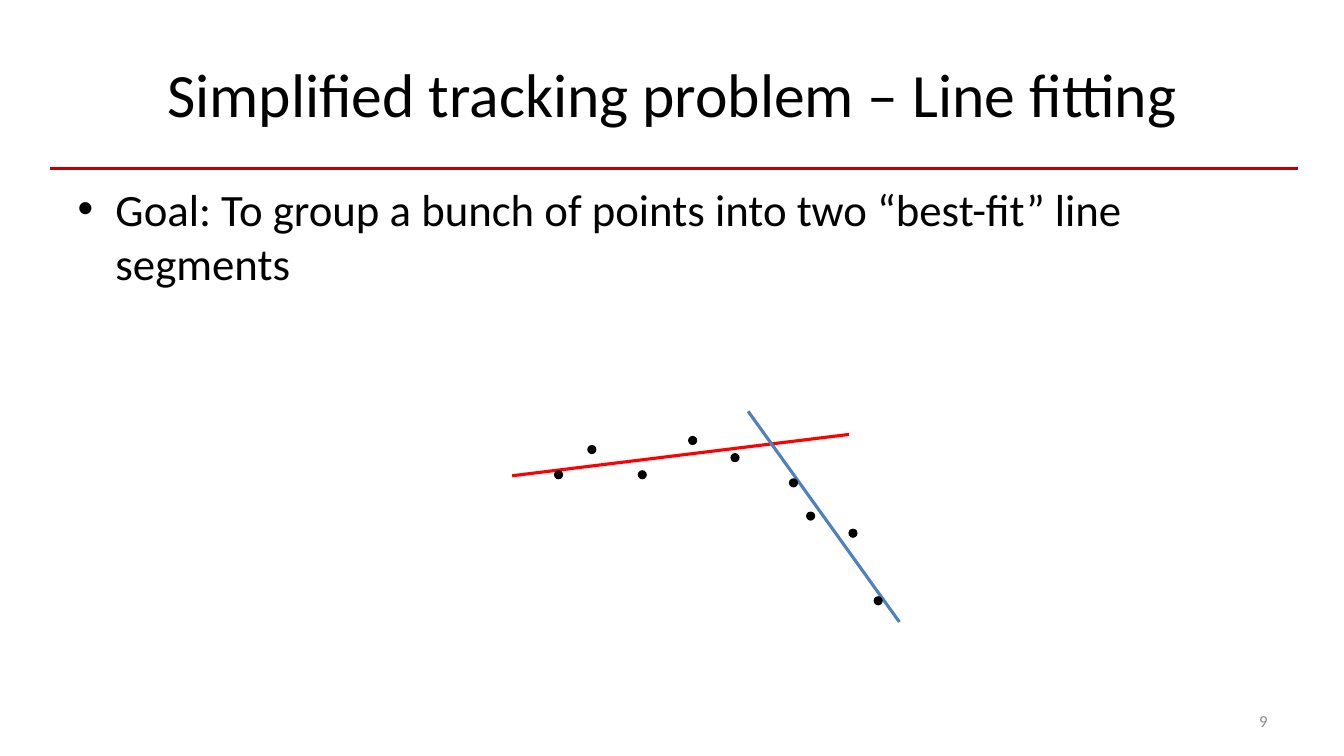
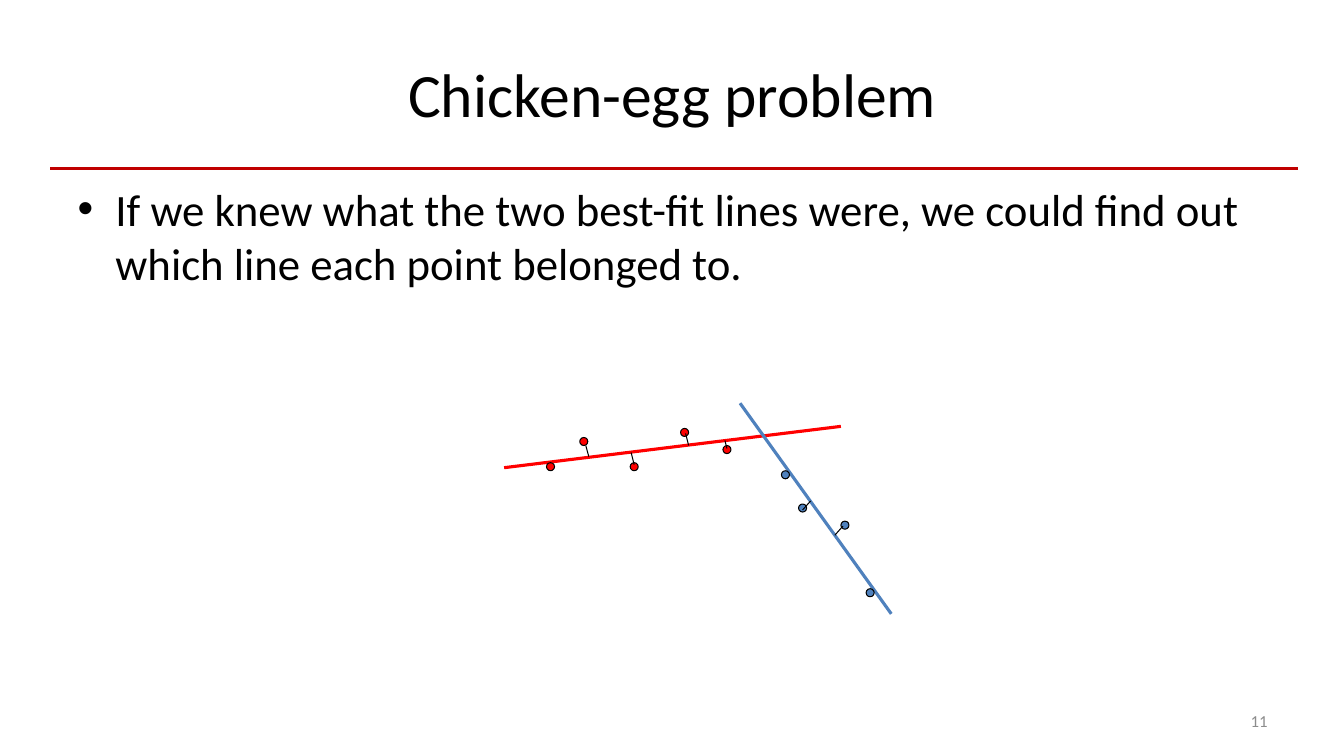
from lxml import etree
from pptx import Presentation
from pptx import util as u
from pptx.dml.color import RGBColor
from pptx.enum import shapes, text
from pptx.oxml import ns

BLACK, RED, BLUE = "000000", "FF0000", "4F81BD"
RULE_RED, NUMBER_GRAY = "C00000", "8C8C8C"
FONT = "Calibri"
DOT_SIZE = 0.08


def write_text(frame, content, size, color=BLACK, align=None, anchor=None):
    frame.word_wrap = True
    frame.vertical_anchor = anchor
    paragraph = frame.paragraphs[0]
    paragraph.alignment = align
    run = paragraph.add_run()
    run.text = content
    run.font.name = FONT
    run.font.size = u.Pt(size)
    run.font.color.rgb = RGBColor.from_string(color)


def add_line(parent, start, end, color, width):
    line = parent.add_connector(
        shapes.MSO_CONNECTOR.STRAIGHT, *(u.Inches(v) for v in (*start, *end)))
    line.line.color.rgb = RGBColor.from_string(color)
    line.line.width = u.Pt(width)
    etree.SubElement(line._element.spPr, ns.qn("a:effectLst"))
    return line


presentation = Presentation()
presentation.slide_width = u.Inches(13.33)
presentation.slide_height = u.Inches(7.5)

# Shared placeholder positions, inherited by both slides
layout = presentation.slide_layouts[1]
for placeholder, top, height in zip(layout.placeholders, (0.3, 1.75), (1.25, 4.95)):
    placeholder.left, placeholder.top = u.Inches(0.67), u.Inches(top)
    placeholder.width, placeholder.height = u.Inches(12), u.Inches(height)

# Points to fit (left, top), grouped by the line they belong to
dots = {
    RED: [(7.25, 4.5), (6.83, 4.33), (6.33, 4.67), (5.5, 4.67), (5.83, 4.42)],
    BLUE: [(7.83, 4.75), (8.67, 5.92), (8, 5.08), (8.42, 5.25)],
}
fit_lines = [(RED, (5.08, 4.72), (8.42, 4.31)), (BLUE, (7.42, 4.08), (8.92, 6.17))]

# Distances from the points to their lines
distances = [
    ((5.81, 4.42), (5.84, 4.53)), ((6.26, 4.49), (6.29, 4.61)),
    ((6.8, 4.3), (6.83, 4.42)), ((7.19, 4.37), (7.21, 4.45)),
    ((7.96, 5.06), (8.04, 4.97)), ((8.28, 5.31), (8.36, 5.22)),
]

# Title, bullet, number, diagram shift, dots coloured by line, distances
slides = [
    ("Simplified tracking problem – Line fitting",
     "Goal: To group a bunch of points into two “best-fit” line segments",
     "9", 0, False, []),
    ("Chicken-egg problem",
     "If we knew what the two best-fit lines were, we could find out which line "
     "each point belonged to.",
     "11", -0.08, True, distances),
]

for title, bullet, number, shift, colored, slide_distances in slides:
    slide = presentation.slides.add_slide(layout)

    # Title, rule and bullet
    write_text(slide.shapes.title.text_frame, title, 44,
               align=text.PP_ALIGN.CENTER, anchor=text.MSO_ANCHOR.MIDDLE)
    add_line(slide.shapes, (0.5, 1.67), (12.87, 1.67), RULE_RED, 2)
    write_text(slide.placeholders[1].text_frame, bullet, 32)

    # Slide number
    number_box = slide.shapes.add_textbox(
        u.Inches(9.56), u.Inches(6.95), u.Inches(3.11), u.Inches(0.4))
    write_text(number_box.text_frame, number, 12, color=NUMBER_GRAY,
               align=text.PP_ALIGN.RIGHT, anchor=text.MSO_ANCHOR.MIDDLE)

    # Best-fit lines
    diagram = slide.shapes.add_group_shape().shapes
    for color, start, end in fit_lines:
        add_line(diagram, [v + shift for v in start], [v + shift for v in end],
                 color, 2.25)

    # Points
    for color, positions in dots.items():
        for left, top in positions:
            dot = diagram.add_shape(
                shapes.MSO_SHAPE.OVAL, u.Inches(left + shift), u.Inches(top + shift),
                u.Inches(DOT_SIZE), u.Inches(DOT_SIZE))
            dot.shadow.inherit = False
            dot.fill.solid()
            dot.fill.fore_color.rgb = RGBColor.from_string(color if colored else BLACK)
            dot.line.color.rgb = RGBColor.from_string(BLACK)
            dot.line.width = u.Pt(0.75)

    # Distances
    for start, end in slide_distances:
        add_line(diagram, start, end, BLACK, 0.75)

presentation.save("out.pptx")
